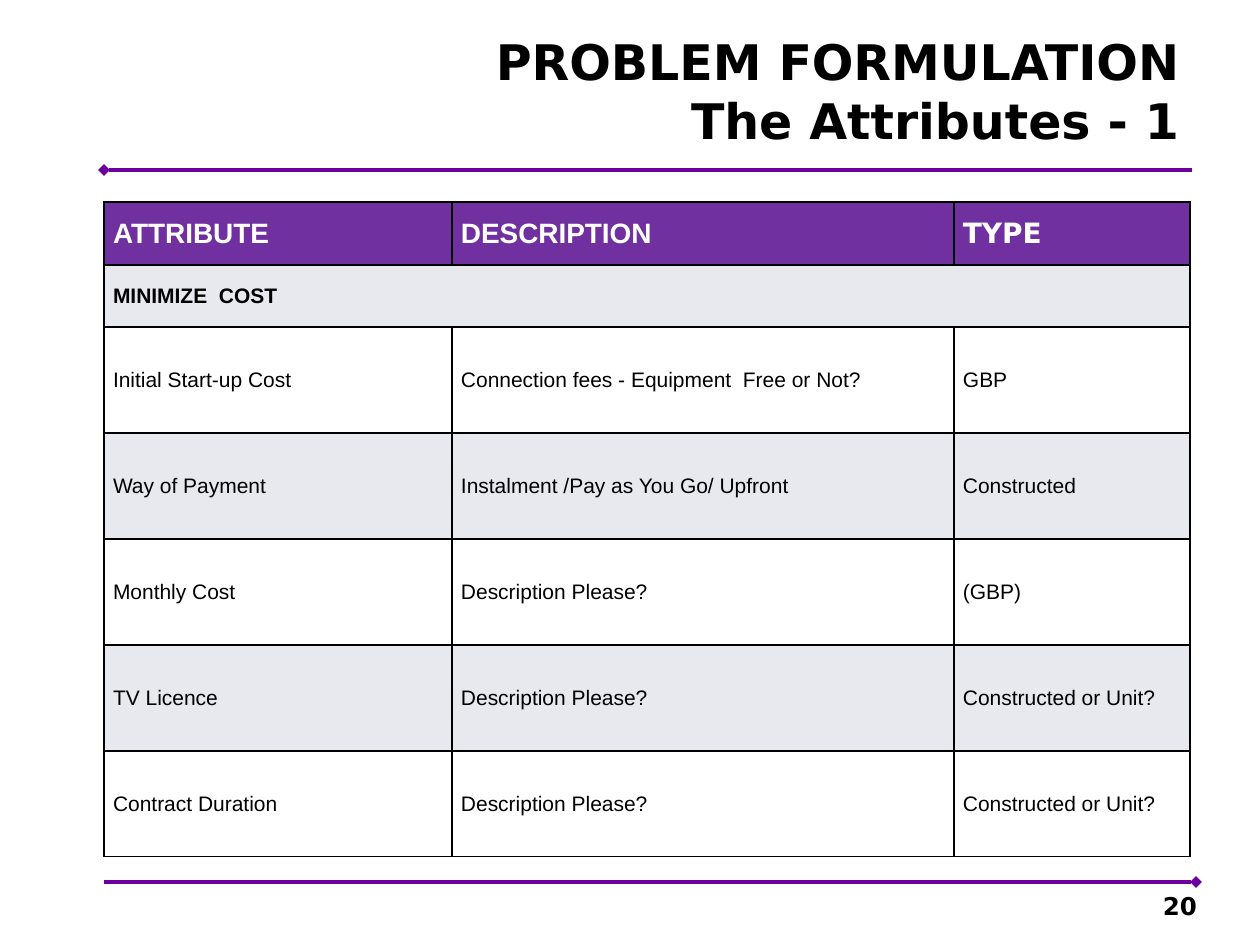
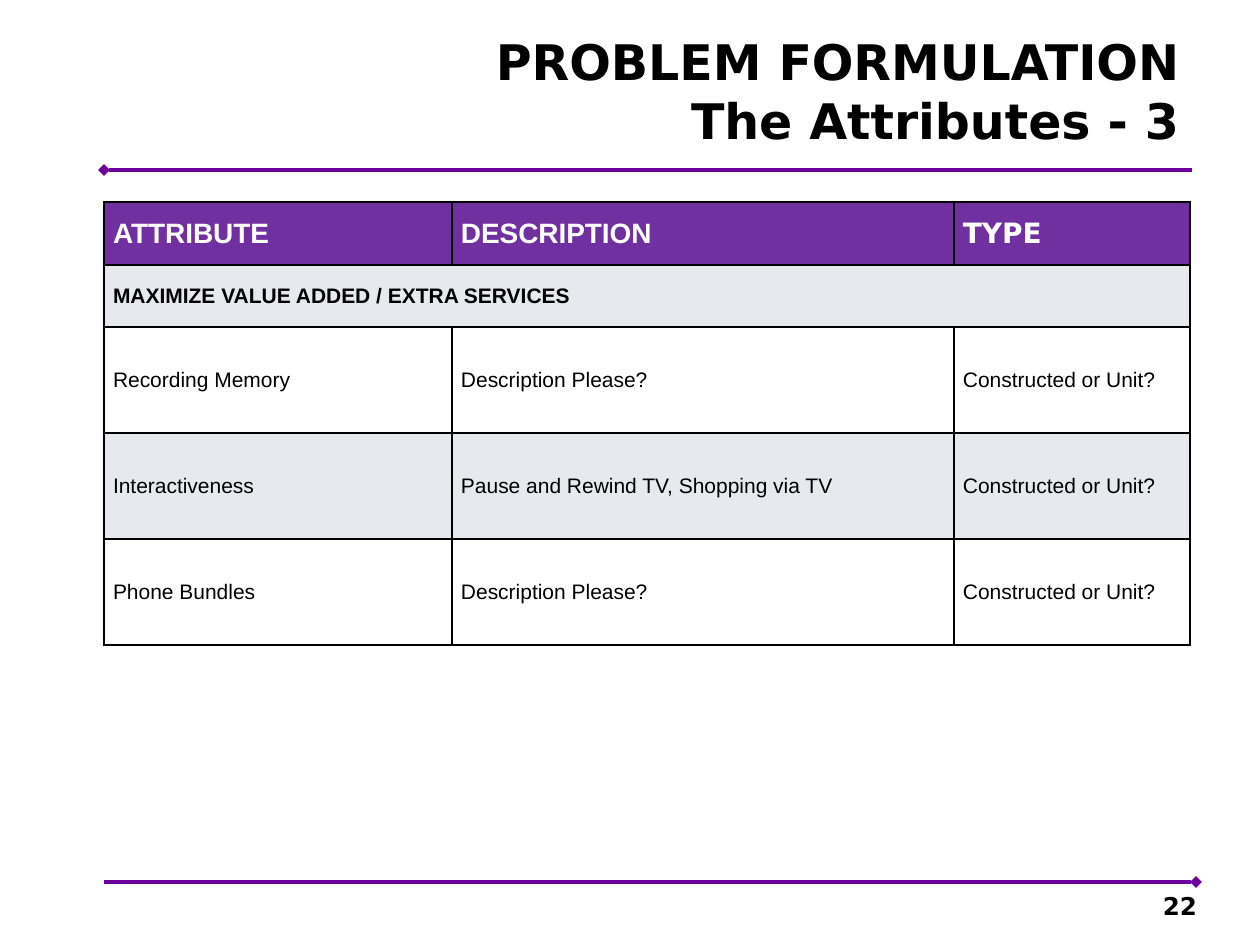
from lxml import etree
from pptx import Presentation
from pptx import util as u
from pptx.dml.color import RGBColor
from pptx.enum import shapes, text
from pptx.oxml.ns import qn

# Content
HEADINGS = ("ATTRIBUTE", "DESCRIPTION", "TYPE")
ASK = "Description Please?"
UNSURE = "Constructed or Unit?"
SLIDES = [
    {
        "title": ("PROBLEM FORMULATION", "The Attributes - 1"),
        "number": "20",
        "objective": "MINIMIZE  COST",
        "attributes": [
            ("Initial Start-up Cost", "Connection fees - Equipment  Free or Not?", "GBP"),
            ("Way of Payment", "Instalment /Pay as You Go/ Upfront", "Constructed"),
            ("Monthly Cost", ASK, "(GBP)"),
            ("TV Licence", ASK, UNSURE),
            ("Contract Duration", ASK, UNSURE),
        ],
    },
    {
        "title": ("PROBLEM FORMULATION", "The Attributes - 3"),
        "number": "22",
        "objective": "MAXIMIZE VALUE ADDED / EXTRA SERVICES",
        "attributes": [
            ("Recording Memory", ASK, UNSURE),
            ("Interactiveness", "Pause and Rewind TV, Shopping via TV", UNSURE),
            ("Phone Bundles", ASK, UNSURE),
        ],
    },
]

# Shared style
BLACK, WHITE = "000000", "FFFFFF"
RULE, HEADER, BAND = "6D009D", "7030A0", "E8E8EF"
DISPLAY, BODY = "DejaVu Sans", "Arial"
PX_PER_INCH = 126
LEFT, TABLE_TOP = 104, 202
COLUMNS = (348, 502, 236)
HEADER_HEIGHT, OBJECTIVE_HEIGHT, ROW_HEIGHT = 63, 62, 106


def px(length):
    return u.Emu(round(length * u.Inches(1) / PX_PER_INCH))


def color(value):
    return RGBColor.from_string(value)


def style(paragraph, size, font, tint, bold):
    for span in paragraph.runs:
        span.font.size = u.Pt(size)
        span.font.name = font
        span.font.bold = bold
        span.font.color.rgb = color(tint)


def set_margins(target, left, top, right, bottom):
    target.margin_left, target.margin_top = px(left), px(top)
    target.margin_right, target.margin_bottom = px(right), px(bottom)


def add_rule(page, y, right, diamond_end):
    rule = page.shapes.add_connector(
        shapes.MSO_CONNECTOR.STRAIGHT, px(LEFT), px(y), px(right), px(y))
    rule.line.color.rgb = color(RULE)
    rule.line.width = u.Pt(2.25)
    etree.SubElement(rule.line._get_or_add_ln(), qn(f"a:{diamond_end}"), type="diamond")
    etree.SubElement(rule._element.spPr, qn("a:effectLst"))


def add_right_text(page, area, words, size, anchor, right_margin):
    box = page.shapes.add_textbox(*map(px, area))
    frame = box.text_frame
    frame.word_wrap = True
    frame.vertical_anchor = anchor
    set_margins(frame, 12, 6, right_margin, 6)
    frame.text = words
    for para in frame.paragraphs:
        para.alignment = text.PP_ALIGN.RIGHT
        style(para, size, DISPLAY, BLACK, True)


def dress_cell(cell, fill):
    cell.vertical_anchor = text.MSO_ANCHOR.MIDDLE
    set_margins(cell, 9, 0, 9, 0)
    properties = cell._tc.get_or_add_tcPr()
    for side in ("lnL", "lnR", "lnT", "lnB"):
        border = etree.SubElement(properties, qn(f"a:{side}"), w=str(u.Pt(1)))
        solid = etree.SubElement(border, qn("a:solidFill"))
        etree.SubElement(solid, qn("a:srgbClr"), val=BLACK)
    cell.fill.solid()
    cell.fill.fore_color.rgb = color(fill)


def add_attribute_table(page, objective, attributes):
    rows = [HEADINGS, (objective, "", ""), *attributes]
    heights = [HEADER_HEIGHT, OBJECTIVE_HEIGHT] + [ROW_HEIGHT] * len(attributes)
    table = page.shapes.add_table(
        len(rows), len(COLUMNS), px(LEFT), px(TABLE_TOP),
        px(sum(COLUMNS)), px(sum(heights))).table
    for column, width in zip(table.columns, COLUMNS):
        column.width = px(width)
    for r, (words, height) in enumerate(zip(rows, heights)):
        table.rows[r].height = px(height)
        fill = HEADER if r == 0 else BAND if r % 2 else WHITE
        for c, word in enumerate(words):
            cell = table.cell(r, c)
            cell.text_frame.text = word
            dress_cell(cell, fill)
            style(cell.text_frame.paragraphs[0],
                  size=16 if r == 0 else 12,
                  font=DISPLAY if word == "TYPE" else BODY,
                  tint=WHITE if r == 0 else BLACK,
                  bold=r < 2)
    # The objective spans the full width
    table.cell(1, 0).merge(table.cell(1, len(COLUMNS) - 1))


def main():
    deck = Presentation()
    deck.slide_width, deck.slide_height = u.Inches(10), u.Inches(7.5)
    for content in SLIDES:
        page = deck.slides.add_slide(deck.slide_layouts[6])
        add_rule(page, 170, 1192, "headEnd")
        add_rule(page, 882, 1196, "tailEnd")
        add_right_text(page, (333, 21, 858, 139), "\n".join(content["title"]),
                       28, text.MSO_ANCHOR.MIDDLE, 12)
        add_right_text(page, (903, 890, 294, 36), content["number"],
                       14, text.MSO_ANCHOR.BOTTOM, 0)
        add_attribute_table(page, content["objective"], content["attributes"])
    deck.save("out.pptx")


if __name__ == "__main__":
    main()
